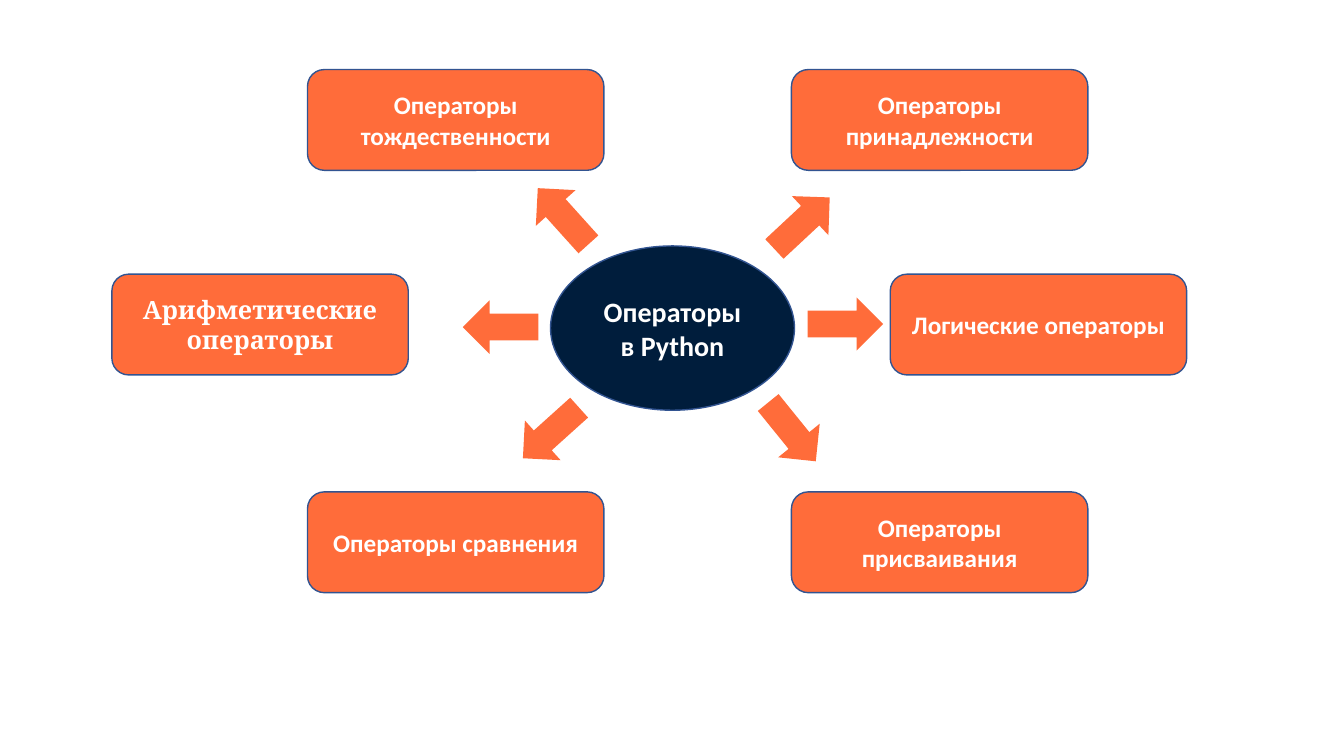
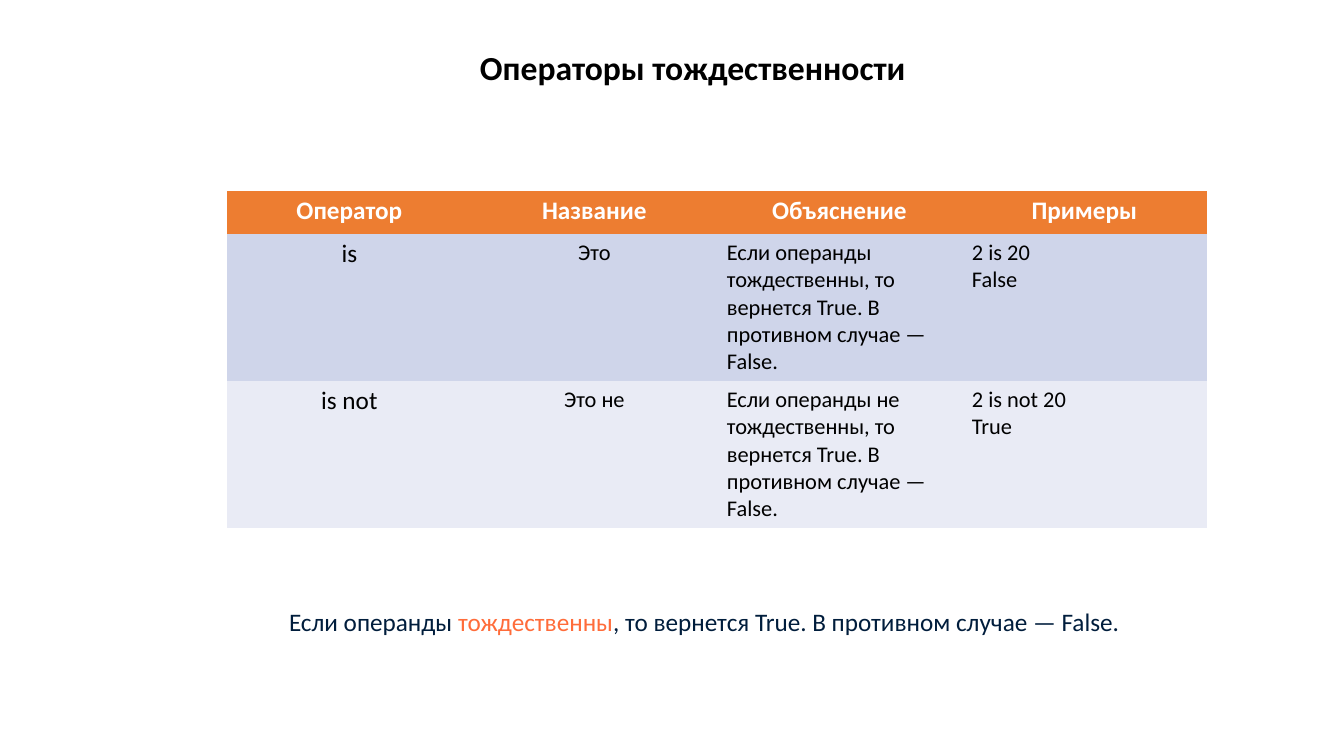
"""Build two slides about Python operators."""
from pptx import Presentation
from pptx.dml.color import RGBColor
from pptx.enum.shapes import MSO_SHAPE
from pptx.enum.text import MSO_ANCHOR, MSO_AUTO_SIZE, PP_ALIGN
from pptx.util import Pt

SCALE = 9144
ORANGE = RGBColor(0xFF, 0x6C, 0x3A)
NAVY = RGBColor(0x00, 0x1D, 0x3C)
EDGE = RGBColor(0x32, 0x54, 0x91)
WHITE = RGBColor(0xFF, 0xFF, 0xFF)
BLACK = RGBColor(0x00, 0x00, 0x00)
HEAD = RGBColor(0xED, 0x7D, 0x31)
BANDS = (RGBColor(0xCF, 0xD5, 0xEA), RGBColor(0xE9, 0xEB, 0xF5))
FONT = "Calibri"
PLAIN = "{2D5ABB26-0587-4C30-8999-92F81FD0307C}"

BOX = (294, 100)
ARROW = (75, 53)
NODES = (
    ("Операторы принадлежности", FONT, 785, 69, 758, 195, 317),
    ("Операторы тождественности", FONT, 305, 69, 521, 188, 228),
    ("Логические операторы", FONT, 883, 272, 801, 295, 0),
    ("Арифметические операторы", "Cambria", 111, 272, 459, 298, 180),
    ("Операторы присваивания", FONT, 785, 488, 748, 402, 51),
    ("Операторы сравнения", FONT, 305, 488, 509, 403, 138),
)
HEADS = ("Оператор", "Название", "Объяснение", "Примеры")
ROWS = (
    ("is", "Это",
     "Если операнды тождественны, то вернется True. В противном случае — False.",
     "2 is 20\nFalse"),
    ("is not", "Это не",
     "Если операнды не тождественны, то вернется True. В противном случае — False.",
     "2 is not 20\nTrue"),
)
NOTE = (
    ("Если операнды ", NAVY),
    ("тождественны", ORANGE),
    (", то вернется True. В противном случае — False.", NAVY),
)


def px(*nums):
    """Turn px into EMU."""
    return [num * SCALE for num in nums]


def add_run(para, text, size, color, bold=False, font=FONT):
    """Add one styled run."""
    run = para.add_run()
    run.text = text
    run.font.name = font
    run.font.size = Pt(size)
    run.font.bold = bold
    run.font.color.rgb = color


def add_form(shapes, kind, area, fill, edge=None):
    """Add a filled preset shape."""
    form = shapes.add_shape(kind, *px(*area))
    form.shadow.inherit = False
    form.fill.solid()
    form.fill.fore_color.rgb = fill
    if edge is None:
        form.line.fill.background()
    else:
        form.line.color.rgb = edge
        form.line.width = Pt(1)
    return form


def add_label(form, text, size, font=FONT):
    """Write a centred white label in a shape."""
    frame = form.text_frame
    frame.word_wrap = True
    frame.vertical_anchor = MSO_ANCHOR.MIDDLE
    para = frame.paragraphs[0]
    para.alignment = PP_ALIGN.CENTER
    add_run(para, text, size, WHITE, True, font)


def add_node(slide, text, font, left, top, tip_x, tip_y, turn):
    """Add a box grouped with its arrow."""
    shapes = slide.shapes.add_group_shape().shapes
    box = add_form(shapes, MSO_SHAPE.ROUNDED_RECTANGLE, (left, top, *BOX), ORANGE, EDGE)
    add_label(box, text, 18, font)
    arrow = add_form(shapes, MSO_SHAPE.RIGHT_ARROW, (tip_x, tip_y, *ARROW), ORANGE)
    arrow.rotation = turn


def fill_cell(cell, text, size, fill, color, bold, align):
    """Fill one cell with its lines of text."""
    cell.fill.solid()
    cell.fill.fore_color.rgb = fill
    frame = cell.text_frame
    for index, line in enumerate(text.split("\n")):
        para = frame.add_paragraph() if index else frame.paragraphs[0]
        para.alignment = align
        add_run(para, line, size, color, bold)


def add_grid(slide):
    """Add the operator table."""
    shape = slide.shapes.add_table(len(ROWS) + 1, len(HEADS), *px(225, 189, 972, 303))
    grid = shape.table
    grid._tbl.tblPr[0].text = PLAIN
    for row, high in zip(grid.rows, px(43, 143, 117)):
        row.height = high
    for col, text in enumerate(HEADS):
        fill_cell(grid.cell(0, col), text, 18, HEAD, WHITE, True, PP_ALIGN.CENTER)
    for row, (texts, band) in enumerate(zip(ROWS, BANDS), 1):
        for col, text in enumerate(texts):
            size = 16 if col else 18
            align = PP_ALIGN.CENTER if col < 2 else PP_ALIGN.LEFT
            fill_cell(grid.cell(row, col), text, size, band, BLACK, False, align)


def set_title(slide, text):
    """Place and write the slide title."""
    title = slide.shapes.title
    title.left, title.top, title.width, title.height = px(466, 42, 479, 50)
    frame = title.text_frame
    frame.word_wrap = True
    frame.auto_size = MSO_AUTO_SIZE.NONE
    frame.vertical_anchor = MSO_ANCHOR.TOP
    para = frame.paragraphs[0]
    para.alignment = PP_ALIGN.LEFT
    add_run(para, text, 24, BLACK, True)


def add_note(slide):
    """Add the closing line below the table."""
    frame = slide.shapes.add_textbox(*px(277, 597, 873, 40)).text_frame
    frame.word_wrap = True
    for text, color in NOTE:
        add_run(frame.paragraphs[0], text, 18, color)


def main():
    """Build and save the slides."""
    deck = Presentation()
    deck.slide_width, deck.slide_height = px(1333, 750)

    chart = deck.slides.add_slide(deck.slide_layouts[6])
    hub = add_form(chart.shapes, MSO_SHAPE.OVAL, (546, 244, 242, 163), NAVY, EDGE)
    add_label(hub, "Операторы в Python", 20)
    for node in NODES:
        add_node(chart, *node)

    table = deck.slides.add_slide(deck.slide_layouts[5])
    set_title(table, "Операторы тождественности")
    add_grid(table)
    add_note(table)
    deck.save("out.pptx")


if __name__ == "__main__":
    main()
